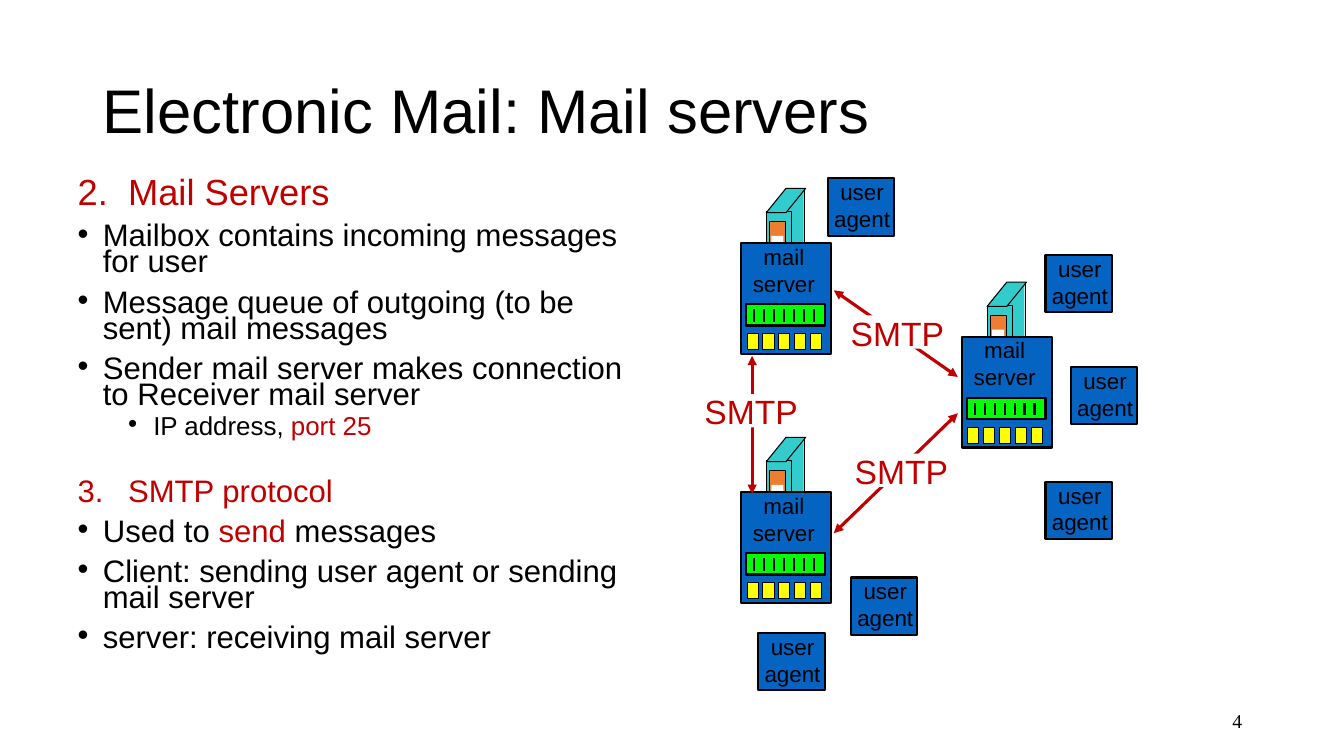
"""Build the slide on mail servers and the SMTP links between them."""
from dataclasses import dataclass
from typing import Optional

from lxml.etree import SubElement
from pptx import Presentation
from pptx.dml.color import RGBColor
from pptx.enum.shapes import MSO_CONNECTOR, MSO_SHAPE
from pptx.enum.text import MSO_ANCHOR, MSO_AUTO_SIZE, PP_ALIGN
from pptx.oxml.ns import qn
from pptx.shapes.autoshape import Shape
from pptx.shapes.shapetree import SlideShapes
from pptx.text.text import TextFrame, _Paragraph
from pptx.util import Inches, Pt


@dataclass(frozen=True)
class Theme:
    black: str = "000000"
    white: str = "FFFFFF"
    red: str = "C00000"
    blue: str = "0563C1"
    teal: str = "33CCCC"
    orange: str = "ED7D31"
    green: str = "00FF00"
    yellow: str = "FFFF00"
    font: str = "Arial"
    number_font: str = "Times New Roman"
    title: float = 44
    heading: float = 25.9
    body: float = 22.2
    detail: float = 18.5
    link: float = 24
    label: float = 16
    number: float = 14
    thin: float = 0.75
    medium: float = 1.5
    thick: float = 2.25


THEME = Theme()


@dataclass(frozen=True)
class Run:
    text: str
    color: str = THEME.black


@dataclass(frozen=True)
class Item:
    runs: tuple[Run, ...]
    size: float = THEME.body
    before: float = 10
    level: int = 0
    margin: float = 0.25
    hanging: float = 0.25
    number: Optional[int] = None


@dataclass(frozen=True)
class Point:
    x: float
    y: float


@dataclass(frozen=True)
class Link:
    start: Point
    end: Point


@dataclass(frozen=True)
class Part:
    x: float
    y: float
    width: float
    height: float
    fill: str
    line: float = 0
    kind: MSO_SHAPE = MSO_SHAPE.RECTANGLE


ITEMS = (
    Item((Run("Mail Servers", THEME.red),), THEME.heading, 0, 0, 0.5, 0.5, 2),
    Item((Run("Mailbox contains incoming messages for user"),)),
    Item((Run("Message queue of outgoing (to be sent) mail messages"),)),
    Item((Run("Sender mail server makes connection to Receiver mail server"),)),
    Item((Run("IP address, "), Run("port 25", THEME.red)), THEME.detail, 5, 1, 0.75),
    Item((Run("SMTP protocol", THEME.red),), THEME.body, 30, 0, 0.5, 0.5, 3),
    Item((Run("Used to "), Run("send", THEME.red), Run(" messages"))),
    Item((Run("Client: sending user agent or sending mail server"),)),
    Item((Run("server: receiving mail server"),)),
)
SERVERS = (Point(9.54, 2.8), Point(7.35, 4.34), Point(7.35, 1.87))
AGENTS = (Point(10.37, 2.53), Point(10.62, 3.64), Point(10.37, 4.78),
          Point(8.44, 5.73), Point(7.52, 6.28), Point(8.21, 1.77))
LINKS = (Link(Point(8.27, 2.88), Point(9.5, 3.74)),
         Link(Point(8.27, 5.29), Point(9.5, 4.1)),
         Link(Point(7.46, 4.9), Point(7.46, 3.53)))
LINK_LABELS = (Point(8.47, 4.5), Point(8.43, 3.13), Point(6.98, 3.91))
TOWER = (
    Part(0.44, 0, 0.18, 0.78, THEME.teal),
    Part(0.25, 0.23, 0.25, 0.78, THEME.teal, THEME.thin),
    Part(0.25, 0, 0.39, 0.24, THEME.teal, THEME.thin, MSO_SHAPE.PARALLELOGRAM),
    Part(0.28, 0.33, 0.16, 0.45, THEME.orange, THEME.thin),
    Part(0.3, 0.47, 0.12, 0.16, THEME.white),
    Part(0, 0.54, 0.89, 1.1, THEME.blue, THEME.medium),
    Part(0.05, 1.15, 0.78, 0.21, THEME.green, THEME.medium),
)


def write(paragraph: _Paragraph, text: str, *, size: float, color: str = THEME.black,
          font: str = THEME.font, align: PP_ALIGN = PP_ALIGN.LEFT,
          spacing: float = 1, before: float = 0) -> None:
    paragraph.alignment = align
    paragraph.line_spacing = spacing
    paragraph.space_before = Pt(before)
    run = paragraph.add_run()
    run.text = text
    run.font.size = Pt(size)
    run.font.name = font
    run.font.color.rgb = RGBColor.from_string(color)


def place(shape: Shape, x: float, y: float, width: float, height: float) -> None:
    shape.left, shape.top = Inches(x), Inches(y)
    shape.width, shape.height = Inches(width), Inches(height)


def draw_part(shapes: SlideShapes, part: Part, origin: Point) -> None:
    block = shapes.add_shape(part.kind, Inches(origin.x + part.x), Inches(origin.y + part.y),
                             Inches(part.width), Inches(part.height))
    block.shadow.inherit = False
    block.fill.solid()
    block.fill.fore_color.rgb = RGBColor.from_string(part.fill)
    if part.line:
        block.line.color.rgb = RGBColor.from_string(THEME.black)
        block.line.width = Pt(part.line)
    else:
        block.line.fill.background()
    if part.kind == MSO_SHAPE.PARALLELOGRAM:
        block.adjustments[0] = 0.81


def draw_line(shapes: SlideShapes, link: Link, color: str, width: float,
              arrows: bool = False) -> None:
    connector = shapes.add_connector(MSO_CONNECTOR.STRAIGHT,
                                     Inches(link.start.x), Inches(link.start.y),
                                     Inches(link.end.x), Inches(link.end.y))
    connector.line.color.rgb = RGBColor.from_string(color)
    connector.line.width = Pt(width)
    if arrows:
        for end in ("a:headEnd", "a:tailEnd"):
            SubElement(connector.line._get_or_add_ln(), qn(end), type="triangle")
    SubElement(connector._element.spPr, qn("a:effectLst"))


def draw_label(shapes: SlideShapes, lines: tuple[str, ...], x: float, y: float,
               width: float, height: float, size: float, color: str = THEME.black) -> None:
    label = shapes.add_textbox(Inches(x), Inches(y), Inches(width), Inches(height))
    frame = label.text_frame
    frame.word_wrap = False
    frame.auto_size = MSO_AUTO_SIZE.SHAPE_TO_FIT_TEXT
    for index, line in enumerate(lines):
        paragraph = frame.add_paragraph() if index else frame.paragraphs[0]
        write(paragraph, line, size=size, color=color, align=PP_ALIGN.CENTER)


def draw_server(shapes: SlideShapes, origin: Point) -> None:
    x, y = origin.x, origin.y
    for part in TOWER:
        draw_part(shapes, part, origin)
    draw_line(shapes, Link(Point(x + 0.63, y + 0.01), Point(x + 0.63, y + 0.53)),
              THEME.black, THEME.thin)
    draw_label(shapes, ("mail", "server"), x + 0.01, y + 0.49, 0.83, 0.64, THEME.label)
    for index in range(7):
        tick = x + 0.13 + index * 0.59 / 6
        draw_line(shapes, Link(Point(tick, y + 1.2), Point(tick, y + 1.32)),
                  THEME.black, THEME.medium)
    for index in range(5):
        draw_part(shapes, Part(0.06 + index * 0.63 / 4, 1.44, 0.11, 0.16,
                               THEME.yellow, THEME.thin), origin)


def draw_agent(shapes: SlideShapes, origin: Point) -> None:
    draw_part(shapes, Part(0, 0, 0.66, 0.57, THEME.blue, THEME.medium), origin)
    draw_label(shapes, ("user", "agent"), origin.x - 0.05, origin.y - 0.05,
               0.78, 0.64, THEME.label)


def fill_list(frame: TextFrame) -> None:
    frame.word_wrap = True
    frame.auto_size = MSO_AUTO_SIZE.NONE
    for index, item in enumerate(ITEMS):
        paragraph = frame.add_paragraph() if index else frame.paragraphs[0]
        paragraph.level = item.level
        properties = paragraph._p.get_or_add_pPr()
        properties.set("marL", str(Inches(item.margin)))
        properties.set("indent", str(-Inches(item.hanging)))
        SubElement(properties, qn("a:buFont"), typeface=THEME.font)
        if item.number:
            SubElement(properties, qn("a:buAutoNum"), type="arabicPeriod",
                       startAt=str(item.number))
        else:
            SubElement(properties, qn("a:buChar"), char="•")
        for run in item.runs:
            write(paragraph, run.text, size=item.size, color=run.color,
                  spacing=0.7, before=item.before)


def main() -> None:
    presentation = Presentation()
    presentation.slide_width, presentation.slide_height = Inches(13.33), Inches(7.5)
    slide = presentation.slides.add_slide(presentation.slide_layouts[1])
    shapes = slide.shapes
    title, body = shapes.title, slide.placeholders[1]
    place(title, 0.92, 0.4, 11.5, 1.45)
    title.text_frame.word_wrap = True
    title.text_frame.auto_size = MSO_AUTO_SIZE.NONE
    title.text_frame.vertical_anchor = MSO_ANCHOR.MIDDLE
    write(title.text_frame.paragraphs[0], "Electronic Mail: Mail servers",
          size=THEME.title, spacing=0.9)
    place(body, 0.67, 1.75, 5.89, 5.08)
    fill_list(body.text_frame)

    for server in SERVERS:
        draw_server(shapes, server)
    for agent in AGENTS:
        draw_agent(shapes, agent)
    for link in LINKS:
        draw_line(shapes, link, THEME.red, THEME.thick, arrows=True)
    for spot in LINK_LABELS:
        draw_part(shapes, Part(0, 0, 0.94, 0.33, THEME.white), spot)
        draw_label(shapes, ("SMTP",), spot.x - 0.1, spot.y - 0.08, 1.14, 0.51,
                   THEME.link, THEME.red)

    page = shapes.add_textbox(Inches(9.42), Inches(6.95), Inches(3), Inches(0.4)).text_frame
    page.word_wrap = True
    page.vertical_anchor = MSO_ANCHOR.MIDDLE
    write(page.paragraphs[0], "4", size=THEME.number, font=THEME.number_font,
          align=PP_ALIGN.RIGHT)
    presentation.save("out.pptx")


if __name__ == "__main__":
    main()
